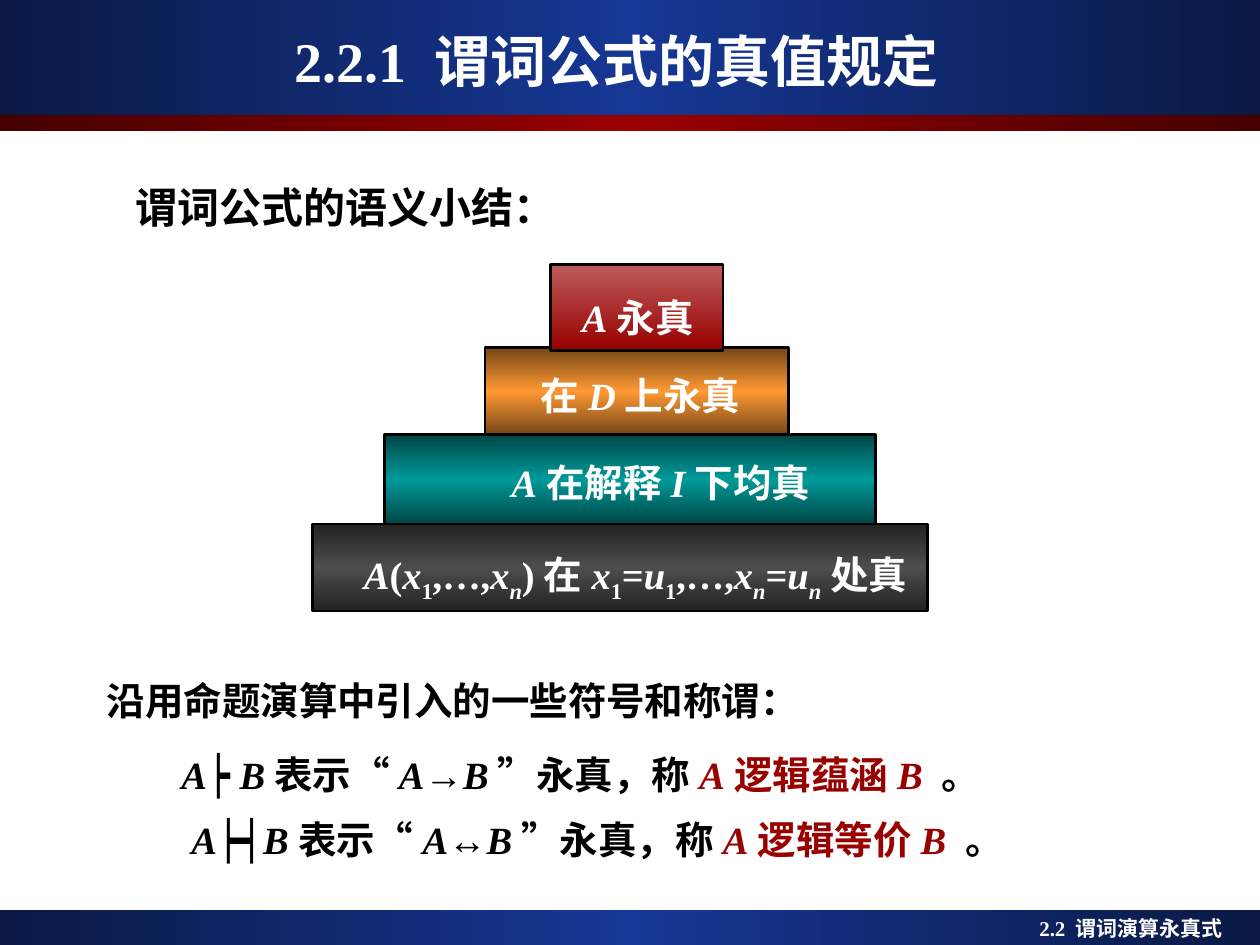
"""Build the slide on the truth of predicate formulas, on a grid of 100 columns by 75 rows."""
from dataclasses import dataclass

from lxml.etree import SubElement
from pptx import Presentation
from pptx.dml.color import RGBColor
from pptx.enum.shapes import MSO_SHAPE
from pptx.enum.text import MSO_ANCHOR, PP_ALIGN
from pptx.oxml.ns import qn
from pptx.util import Inches, Pt


@dataclass(frozen=True)
class Theme:
    """Colours, fonts and type sizes of the slide."""
    white: str = "FFFFFF"
    black: str = "000000"
    red: str = "990000"
    blue_bar: tuple = ("0A1944", "163794", "0A1944")
    red_bar: tuple = ("460000", "990000", "460000")
    red_tier: tuple = ("BD5C5C", "990000")
    orange_tier: tuple = ("754617", "FF9933", "754617")
    teal_tier: tuple = ("004646", "009999", "004646")
    grey_tier: tuple = ("232323", "4D4D4D", "232323")
    serif: str = "Times New Roman"
    sans: str = "Arial"
    title: int = 32
    heading: int = 24
    body: int = 22
    footer: int = 12


THEME = Theme()


def grid(cells):
    """Turn a number of grid cells into a length."""
    return Inches(cells / 10)


def fill_gradient(shape, colors, angle):
    """Fill a shape with evenly spaced gradient stops."""
    shape.fill.gradient()
    shape.fill.gradient_angle = angle
    stops = shape.fill._fill._gradFill.find(qn("a:gsLst"))
    for stop in list(stops):
        stops.remove(stop)
    for index, color in enumerate(colors):
        position = round(100000 * index / (len(colors) - 1))
        stop = SubElement(stops, qn("a:gs"), pos=str(position))
        SubElement(stop, qn("a:srgbClr"), val=color)


def add_block(slide, box, colors, angle, outlined=False):
    """Add a gradient rectangle, with or without a black outline."""
    shape = slide.shapes.add_shape(MSO_SHAPE.RECTANGLE, *map(grid, box))
    shape.shadow.inherit = False
    fill_gradient(shape, colors, angle)
    if outlined:
        shape.line.color.rgb = RGBColor.from_string(THEME.black)
        shape.line.width = Pt(1.5)
    else:
        shape.line.fill.background()
    return shape


def add_text(slide, box, anchor=MSO_ANCHOR.TOP):
    """Add a wrapping text box and return its text frame."""
    frame = slide.shapes.add_textbox(*map(grid, box)).text_frame
    frame.word_wrap = True
    frame.vertical_anchor = anchor
    return frame


def add_run(paragraph, text, style, size, color):
    """Add a run; style letters: i italic, s subscript, r red, a sans."""
    run = paragraph.add_run()
    run.text = text
    font = run.font
    font.name = THEME.sans if "a" in style else THEME.serif
    font.size = Pt(size)
    font.bold = True
    font.italic = "i" in style
    font.color.rgb = RGBColor.from_string(THEME.red if "r" in style else color)
    if "s" in style:
        run._r.get_or_add_rPr().set("baseline", "-25000")


def write_line(paragraph, runs, size, color, spacing=1.0, indent=0, align=PP_ALIGN.LEFT):
    """Write styled runs into a paragraph."""
    paragraph.alignment = align
    paragraph.line_spacing = spacing
    paragraph._p.get_or_add_pPr().set("marL", str(grid(indent)))
    for text, style in runs:
        add_run(paragraph, text, style, size, color)


def add_tier(slide, box, colors, indent, runs, anchor=MSO_ANCHOR.TOP):
    """Add one labelled step of the pyramid."""
    frame = add_block(slide, box, colors, 270, outlined=True).text_frame
    frame.word_wrap = True
    frame.vertical_anchor = anchor
    write_line(frame.paragraphs[0], runs, THEME.body, THEME.white, 1.4, indent)


def add_frame(slide):
    """Add the bars, the title and the section name."""
    add_block(slide, (0, 72.2, 100, 2.8), THEME.blue_bar, 0)
    add_block(slide, (0, 0, 100, 9.1), THEME.blue_bar, 0)
    add_block(slide, (0, 9.1, 100, 1.3), THEME.red_bar, 0)
    title = add_text(slide, (2.7, 1.7, 92.5, 6.2), MSO_ANCHOR.MIDDLE)
    write_line(title.paragraphs[0], [("2.2.1 谓词公式的真值规定", "")],
               THEME.title, THEME.white, align=PP_ALIGN.CENTER)
    footer = add_text(slide, (81.5, 72.2, 18.5, 3))
    write_line(footer.paragraphs[0], [("2.2 谓词演算永真式", "")], THEME.footer, THEME.white)


def add_pyramid(slide):
    """Add the four steps from the widest to the narrowest."""
    add_tier(slide, (24.8, 41.6, 48.8, 6.9), THEME.grey_tier, 3.1, [
        ("A", "i"), ("(", ""), ("x", "i"), ("1", "s"), (",…,", ""), ("x", "i"), ("n", "is"),
        (")在", ""), ("x", "i"), ("1", "s"), ("=", ""), ("u", "i"), ("1", "s"), (",…,", ""),
        ("x", "i"), ("n", "is"), ("=", ""), ("u", "i"), ("n", "is"), ("处真", "")])
    add_tier(slide, (30.5, 34.5, 39, 7.1), THEME.teal_tier, 9.1,
             [("A", "i"), ("在解释", ""), ("I", "i"), ("下均真", "")])
    add_tier(slide, (38.5, 27.6, 24.1, 6.9), THEME.orange_tier, 3.4,
             [("在", ""), ("D", "i"), ("上永真", "")])
    add_tier(slide, (43.7, 21, 13.7, 6.8), THEME.red_tier, 1.5,
             [("A", "i"), ("永真", "")], MSO_ANCHOR.MIDDLE)


def definition(symbol, arrow, arrow_style, name):
    """Return the runs that define one logical relation."""
    return [("A", "i"), (symbol, ""), ("B", "i"), ("表示“", ""), ("A", "i"),
            (arrow, arrow_style), ("B", "i"), ("”永真，称", ""), ("A", "ir"),
            (name, "r"), ("B ", "ir"), ("。", "")]


def add_notation(slide):
    """Add the introduction and the two definitions."""
    frame = add_text(slide, (7.5, 52.5, 79.5, 17.3))
    lines = [
        ([("沿用命题演算中引入的一些符号和称谓：", "")], 1.2, 0),
        (definition("┝ ", "→", "", "逻辑蕴涵"), 1.4, 5.9),
        (definition("┝┥", "↔", "a", "逻辑等价"), 1.2, 6.7),
    ]
    for index, (runs, spacing, indent) in enumerate(lines):
        paragraph = frame.add_paragraph() if index else frame.paragraphs[0]
        if index:
            paragraph.space_before = Pt(5.5)
        write_line(paragraph, runs, THEME.body, THEME.black, spacing, indent)


def main():
    """Build and save the slide."""
    presentation = Presentation()
    presentation.slide_width = grid(100)
    presentation.slide_height = grid(75)
    slide = presentation.slides.add_slide(presentation.slide_layouts[6])
    add_frame(slide)
    add_pyramid(slide)
    heading = add_text(slide, (9.8, 13.1, 48, 4.6))
    write_line(heading.paragraphs[0], [("谓词公式的语义小结：", "")],
               THEME.heading, THEME.black, 1.2)
    add_notation(slide)
    presentation.save("out.pptx")


if __name__ == "__main__":
    main()
